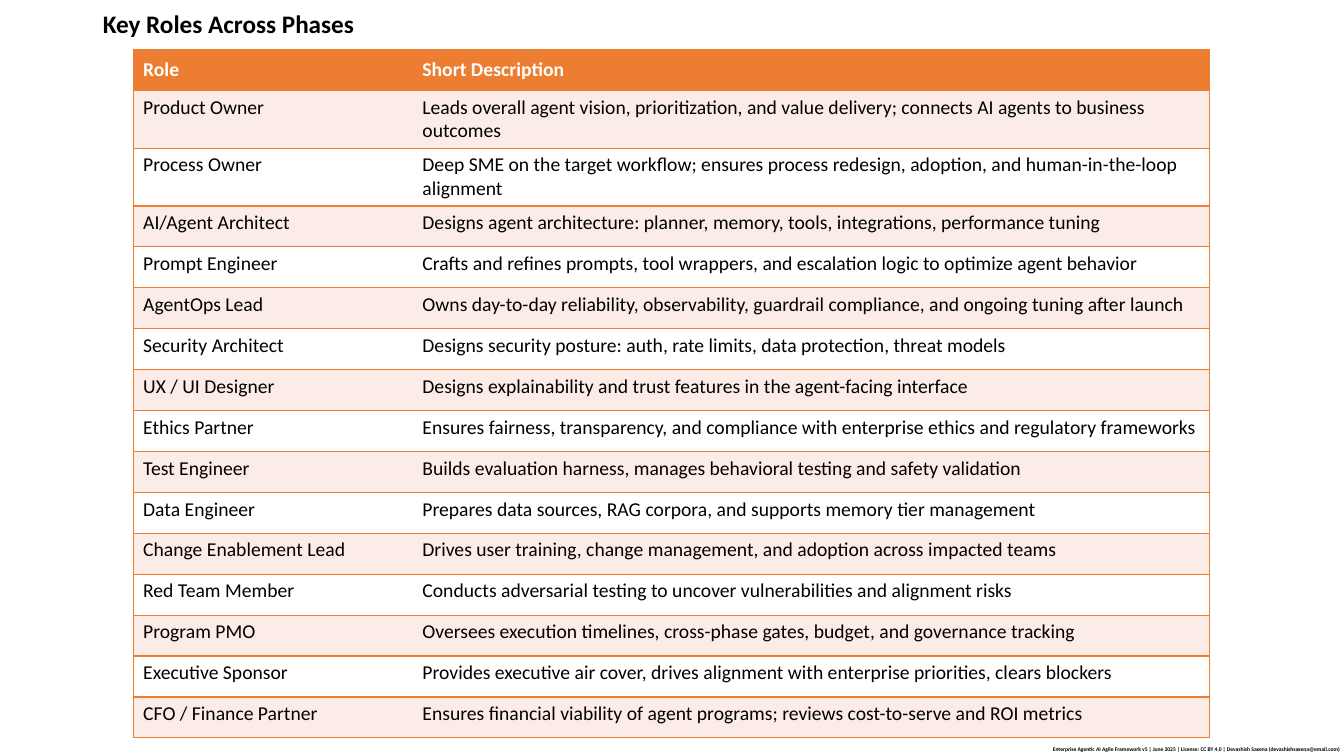
from dataclasses import dataclass
from typing import Any

import lxml.etree
import pptx
import pptx.dml.color
import pptx.enum.text
import pptx.oxml.ns
import pptx.util

Inches = pptx.util.Inches
Pt = pptx.util.Pt
Align = pptx.enum.text.PP_ALIGN
Anchor = pptx.enum.text.MSO_ANCHOR


@dataclass(frozen=True)
class Theme:
    font: str = "Calibri"
    accent: str = "ED7D31"
    band: str = "FCECE8"
    white: str = "FFFFFF"
    black: str = "000000"
    title_size: float = 18
    table_size: float = 14
    footer_size: float = 4
    border_width: float = 1


@dataclass(frozen=True)
class Role:
    name: str
    description: str


THEME = Theme()
HEADER = Role("Role", "Short Description")
ROLES = [
    Role("Product Owner", "Leads overall agent vision, prioritization, and value delivery; "
         "connects AI agents to business outcomes"),
    Role("Process Owner", "Deep SME on the target workflow; ensures process redesign, adoption, "
         "and human-in-the-loop alignment"),
    Role("AI/Agent Architect", "Designs agent architecture: planner, memory, tools, integrations, "
         "performance tuning"),
    Role("Prompt Engineer", "Crafts and refines prompts, tool wrappers, and escalation logic "
         "to optimize agent behavior"),
    Role("AgentOps Lead", "Owns day-to-day reliability, observability, guardrail compliance, "
         "and ongoing tuning after launch"),
    Role("Security Architect", "Designs security posture: auth, rate limits, data protection, "
         "threat models"),
    Role("UX / UI Designer", "Designs explainability and trust features in the agent-facing "
         "interface"),
    Role("Ethics Partner", "Ensures fairness, transparency, and compliance with enterprise ethics "
         "and regulatory frameworks"),
    Role("Test Engineer", "Builds evaluation harness, manages behavioral testing and safety "
         "validation"),
    Role("Data Engineer", "Prepares data sources, RAG corpora, and supports memory tier "
         "management"),
    Role("Change Enablement Lead", "Drives user training, change management, and adoption across "
         "impacted teams"),
    Role("Red Team Member", "Conducts adversarial testing to uncover vulnerabilities and "
         "alignment risks"),
    Role("Program PMO", "Oversees execution timelines, cross-phase gates, budget, and governance "
         "tracking"),
    Role("Executive Sponsor", "Provides executive air cover, drives alignment with enterprise "
         "priorities, clears blockers"),
    Role("CFO / Finance Partner", "Ensures financial viability of agent programs; reviews "
         "cost-to-serve and ROI metrics"),
]
COLUMN_WIDTHS = (2.77, 7.91)
TABLE_HEIGHT = 6.5
FOOTER = ("Enterprise Agentic AI Agile Framework v5 | June 2025 | License: CC BY 4.0 | "
          "Devashish Saxena (devashishsaxena@email.com)")


def rgb(color: str) -> pptx.dml.color.RGBColor:
    return pptx.dml.color.RGBColor.from_string(color)


def apply_format(target: Any, values: dict[str, Any]) -> None:
    for name, value in values.items():
        setattr(target, name, value)


def write_text(frame: Any, text: str, size: float, color: str, bold: bool,
               paragraph_format: dict[str, Any]) -> None:
    frame.word_wrap = True
    paragraph = frame.paragraphs[0]
    apply_format(paragraph, paragraph_format)
    run = paragraph.add_run()
    run.text = text
    apply_format(run.font, {"name": THEME.font, "size": Pt(size), "bold": bold})
    run.font.color.rgb = rgb(color)


def set_borders(cell: Any, hidden_side: str) -> None:
    """Draw accent borders on every side of the cell but the hidden one."""
    qn = pptx.oxml.ns.qn
    properties = cell._tc.get_or_add_tcPr()
    for side in ("lnL", "lnR", "lnT", "lnB"):
        line = lxml.etree.SubElement(properties, qn(f"a:{side}"),
                                     w=str(int(Pt(THEME.border_width))))
        if side == hidden_side:
            lxml.etree.SubElement(line, qn("a:noFill"))
        else:
            fill = lxml.etree.SubElement(line, qn("a:solidFill"))
            lxml.etree.SubElement(fill, qn("a:srgbClr"), val=THEME.accent)


def add_title(slide: Any) -> None:
    title = slide.shapes.title
    apply_format(title, {"left": Inches(0.92), "top": Inches(0.07),
                         "width": Inches(11.5), "height": Inches(0.36)})
    apply_format(title.text_frame, {"auto_size": pptx.enum.text.MSO_AUTO_SIZE.NONE,
                                    "vertical_anchor": Anchor.MIDDLE})
    write_text(title.text_frame, "Key Roles Across Phases", THEME.title_size, THEME.black, True,
               {"alignment": Align.LEFT, "line_spacing": 0.9})


def add_roles_table(slide: Any) -> None:
    rows = [HEADER, *ROLES]
    table = slide.shapes.add_table(len(rows), len(COLUMN_WIDTHS), Inches(1.32), Inches(0.49),
                                   Inches(sum(COLUMN_WIDTHS)), Inches(TABLE_HEIGHT)).table
    table.horz_banding = False
    for column, width in zip(table.columns, COLUMN_WIDTHS):
        column.width = Inches(width)
    for index, role in enumerate(rows):
        table.rows[index].height = Inches(TABLE_HEIGHT / len(rows))
        is_header = index == 0
        background = THEME.accent if is_header else THEME.band if index % 2 else THEME.white
        texts_and_inner_sides = ((role.name, "lnR"), (role.description, "lnL"))
        for column, (text, inner_side) in enumerate(texts_and_inner_sides):
            cell = table.cell(index, column)
            set_borders(cell, inner_side)
            cell.fill.solid()
            cell.fill.fore_color.rgb = rgb(background)
            cell.vertical_anchor = Anchor.MIDDLE if is_header else Anchor.TOP
            write_text(cell.text_frame, text, THEME.table_size,
                       THEME.white if is_header else THEME.black, is_header,
                       {"alignment": Align.LEFT})


def add_footer(slide: Any) -> None:
    footer = slide.shapes.add_textbox(Inches(10.17), Inches(7.36), Inches(3.22), Inches(0.14))
    write_text(footer.text_frame, FOOTER, THEME.footer_size, THEME.black, True,
               {"alignment": Align.RIGHT, "line_spacing": 0.9})


def main() -> None:
    presentation = pptx.Presentation()
    apply_format(presentation, {"slide_width": Inches(13.33), "slide_height": Inches(7.5)})
    slide = presentation.slides.add_slide(presentation.slide_layouts.get_by_name("Title Only"))
    add_title(slide)
    add_roles_table(slide)
    add_footer(slide)
    presentation.save("out.pptx")


if __name__ == "__main__":
    main()
